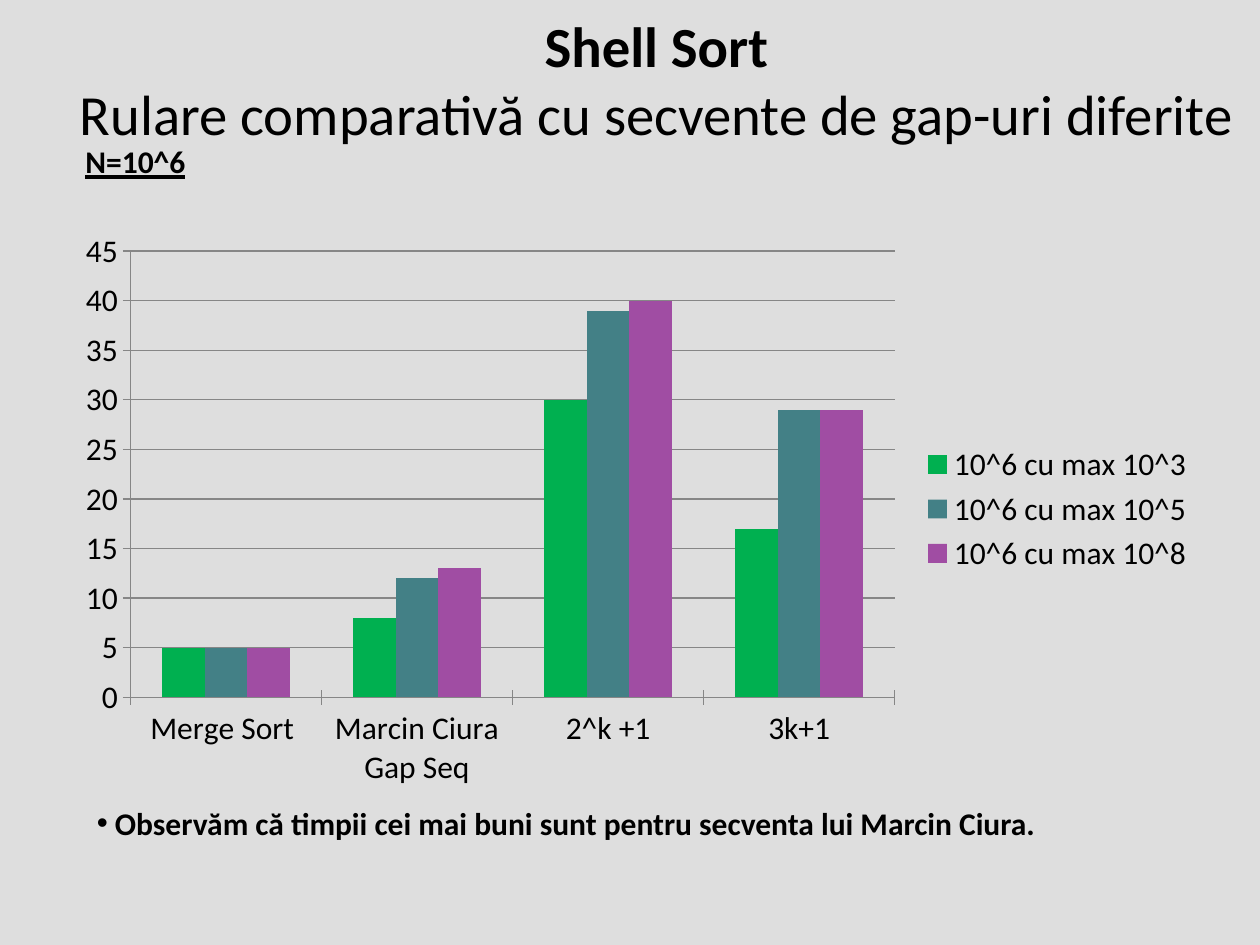
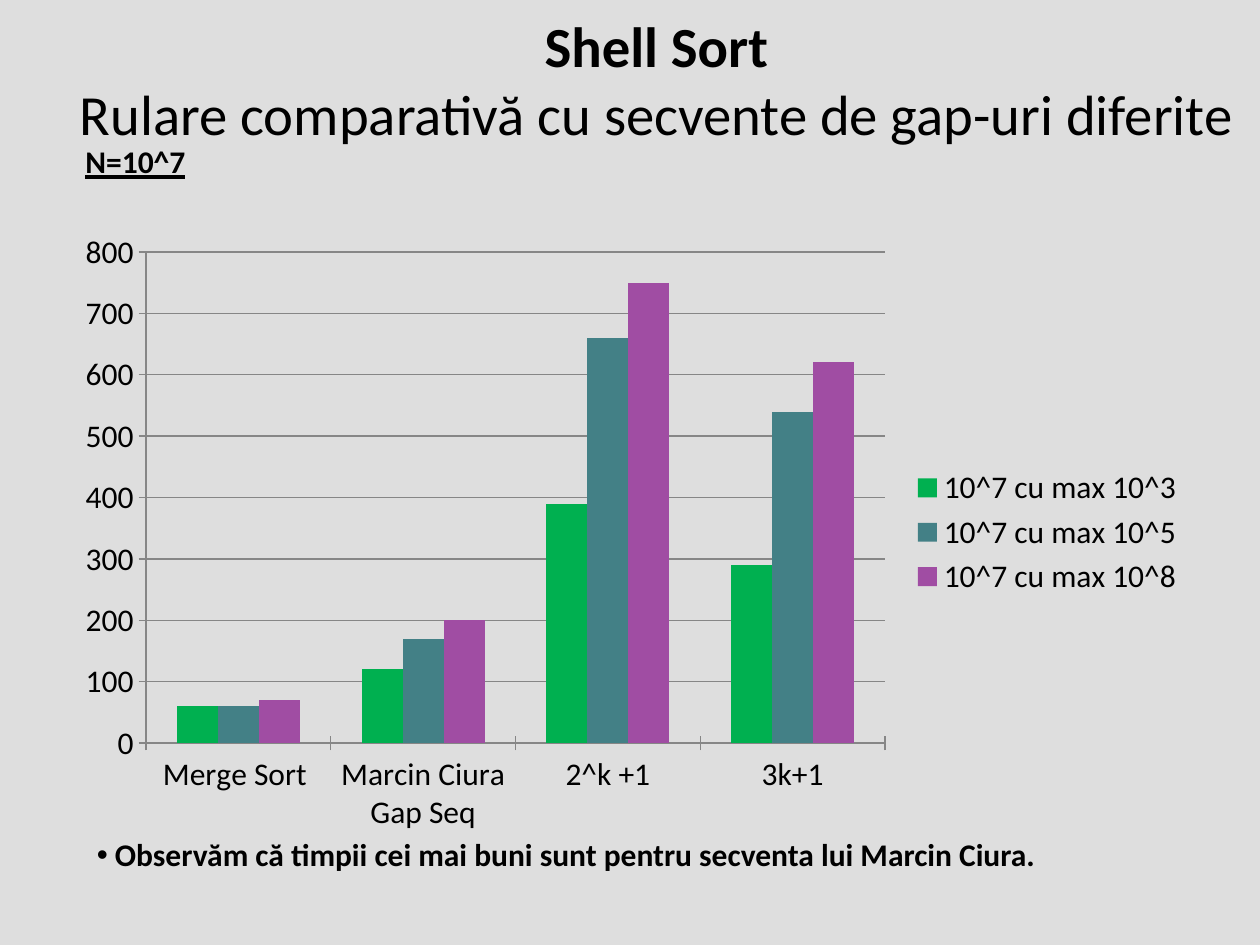
"""Build two slides that compare Shell Sort running times for several gap sequences."""
from lxml import etree
from pptx import Presentation
from pptx.chart.data import CategoryChartData
from pptx.dml.color import RGBColor
from pptx.enum.chart import XL_CHART_TYPE, XL_LEGEND_POSITION, XL_TICK_MARK
from pptx.enum.text import MSO_ANCHOR, MSO_AUTO_SIZE, PP_ALIGN
from pptx.oxml.ns import qn
from pptx.util import Inches, Pt

COLUMNS = XL_CHART_TYPE.COLUMN_CLUSTERED
LEGEND_RIGHT = XL_LEGEND_POSITION.RIGHT
CROSS = XL_TICK_MARK.CROSS
MIDDLE = MSO_ANCHOR.MIDDLE
CENTER = PP_ALIGN.CENTER
NO_FIT = MSO_AUTO_SIZE.NONE
GROW = MSO_AUTO_SIZE.SHAPE_TO_FIT_TEXT

FONT = "Calibri"
COLORS = {
    "background": "DEDEDE",
    "text": "000000",
    "axis": "868686",
    "10^3": "00B050",
    "10^5": "438086",
    "10^8": "A04DA3",
}
METHODS = ["Merge Sort ", "Marcin Ciura Gap Seq", "2^k +1", "3k+1"]
CONCLUSION = " Observăm că timpii cei mai buni sunt pentru secventa lui Marcin Ciura."
RUNS = [
    {
        "count": "10^6", "width": 9.08, "height": 4.58, "note_top": 6.33,
        "top_value": 45, "step": 5,
        "times": {"10^3": [5, 8, 30, 17], "10^5": [5, 12, 39, 29], "10^8": [5, 13, 40, 29]},
    },
    {
        "count": "10^7", "width": 9, "height": 4.95, "note_top": 6.58,
        "top_value": 800, "step": 100,
        "times": {
            "10^3": [60, 120, 390, 290],
            "10^5": [60, 170, 660, 540],
            "10^8": [70, 200, 750, 620],
        },
    },
]


def color(name):
    return RGBColor.from_string(COLORS[name])


def write(para, text, size=18, bold=True, underline=None):
    span = para.add_run()
    span.text = text
    span.font.name = FONT
    span.font.size = Pt(size)
    span.font.bold = bold
    span.font.underline = underline
    span.font.color.rgb = color("text")


deck = Presentation()
deck.slide_width, deck.slide_height = Inches(10), Inches(7.5)
background = deck.slide_master.background.fill
background.solid()
background.fore_color.rgb = color("background")
title_only = deck.slide_layouts.get_by_name("Title Only")

for run in RUNS:
    page = deck.slides.add_slide(title_only)

    title = page.shapes.title
    title.left, title.top = Inches(0.42), Inches(0)
    title.width, title.height = Inches(9.58), Inches(1.25)
    title.text_frame.auto_size = NO_FIT
    title.text_frame.vertical_anchor = MIDDLE
    para = title.text_frame.paragraphs[0]
    para.alignment = CENTER
    write(para, "Shell Sort", size=32.4)
    para.add_line_break()
    write(para, "Rulare comparativă cu secvente de gap-uri diferite", size=32.4, bold=False)

    chart_data = CategoryChartData()
    chart_data.categories = METHODS
    for limit, times in run["times"].items():
        chart_data.add_series(f"{run['count']} cu max {limit}", times)
    chart = page.shapes.add_chart(
        COLUMNS, Inches(0.5), Inches(1.75), Inches(run["width"]), Inches(run["height"]), chart_data
    ).chart
    chart.has_title = False
    chart.font.name = FONT
    chart.font.size = Pt(18)
    chart.font.color.rgb = color("text")
    chart.has_legend = True
    chart.legend.position = LEGEND_RIGHT
    chart.legend.include_in_layout = False

    plot = chart.plots[0]
    plot.gap_width = 150
    plot.overlap = 0
    plot.vary_by_categories = False
    for series, limit in zip(plot.series, run["times"]):
        series.format.fill.solid()
        series.format.fill.fore_color.rgb = color(limit)

    times_axis = chart.value_axis
    times_axis.minimum_scale = 0
    times_axis.maximum_scale = run["top_value"]
    times_axis.major_unit = run["step"]
    times_axis.has_major_gridlines = True
    for axis in (chart.category_axis, times_axis):
        axis.major_tick_mark = CROSS
        axis.format.line.color.rgb = color("axis")
    times_axis.major_gridlines.format.line.color.rgb = color("axis")

    count_box = page.shapes.add_textbox(Inches(0.58), Inches(1.08), Inches(3.83), Inches(0.4))
    count_box.text_frame.word_wrap = True
    count_box.text_frame.auto_size = GROW
    write(count_box.text_frame.paragraphs[0], f"N={run['count']}", underline=True)

    note_box = page.shapes.add_textbox(
        Inches(0.67), Inches(run["note_top"]), Inches(7.71), Inches(0.4)
    )
    note_box.text_frame.word_wrap = False
    note_box.text_frame.auto_size = GROW
    para = note_box.text_frame.paragraphs[0]
    properties = para._p.get_or_add_pPr()
    etree.SubElement(properties, qn("a:buFont"), typeface="Arial")
    etree.SubElement(properties, qn("a:buChar"), char="•")
    write(para, CONCLUSION)

deck.save("out.pptx")
